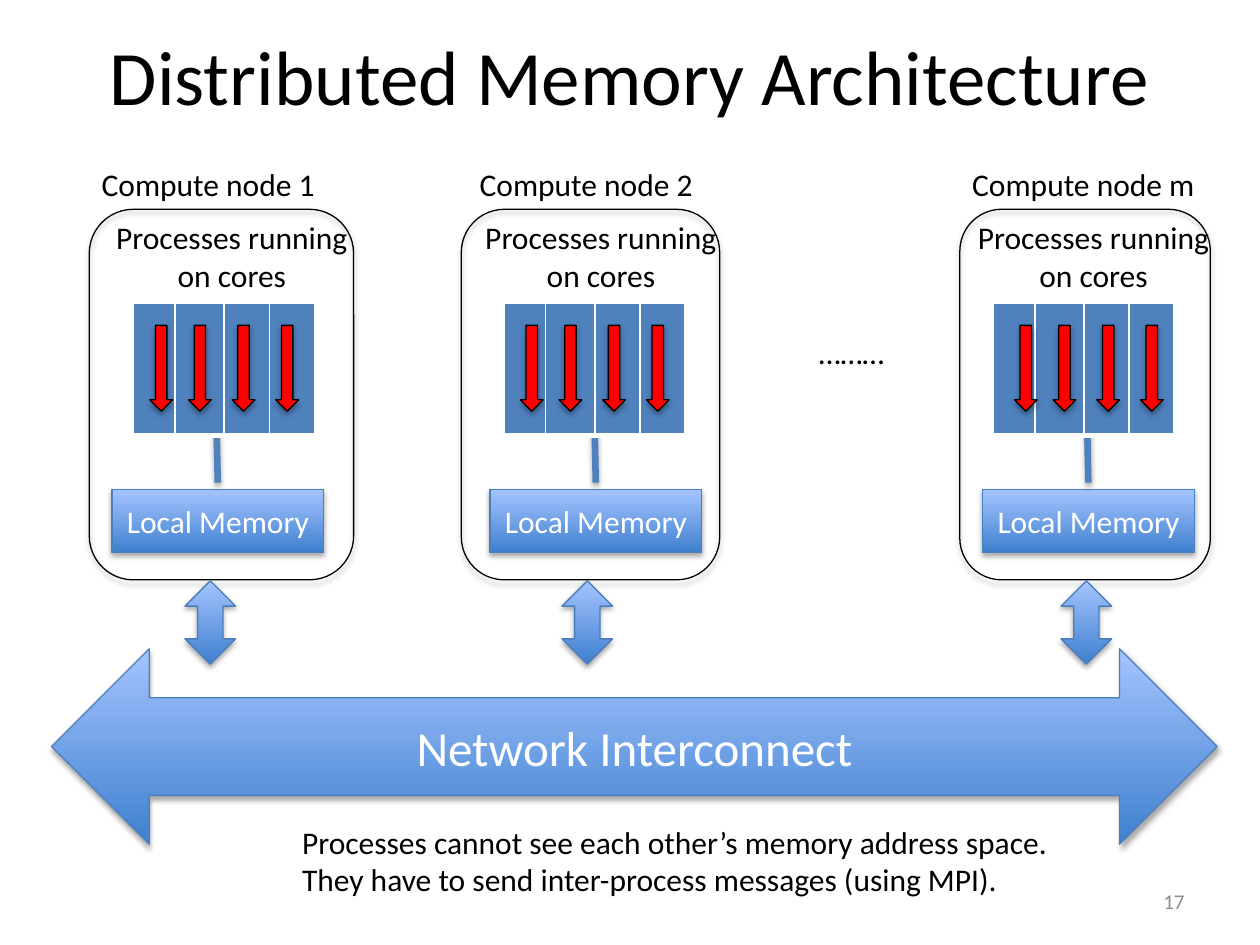
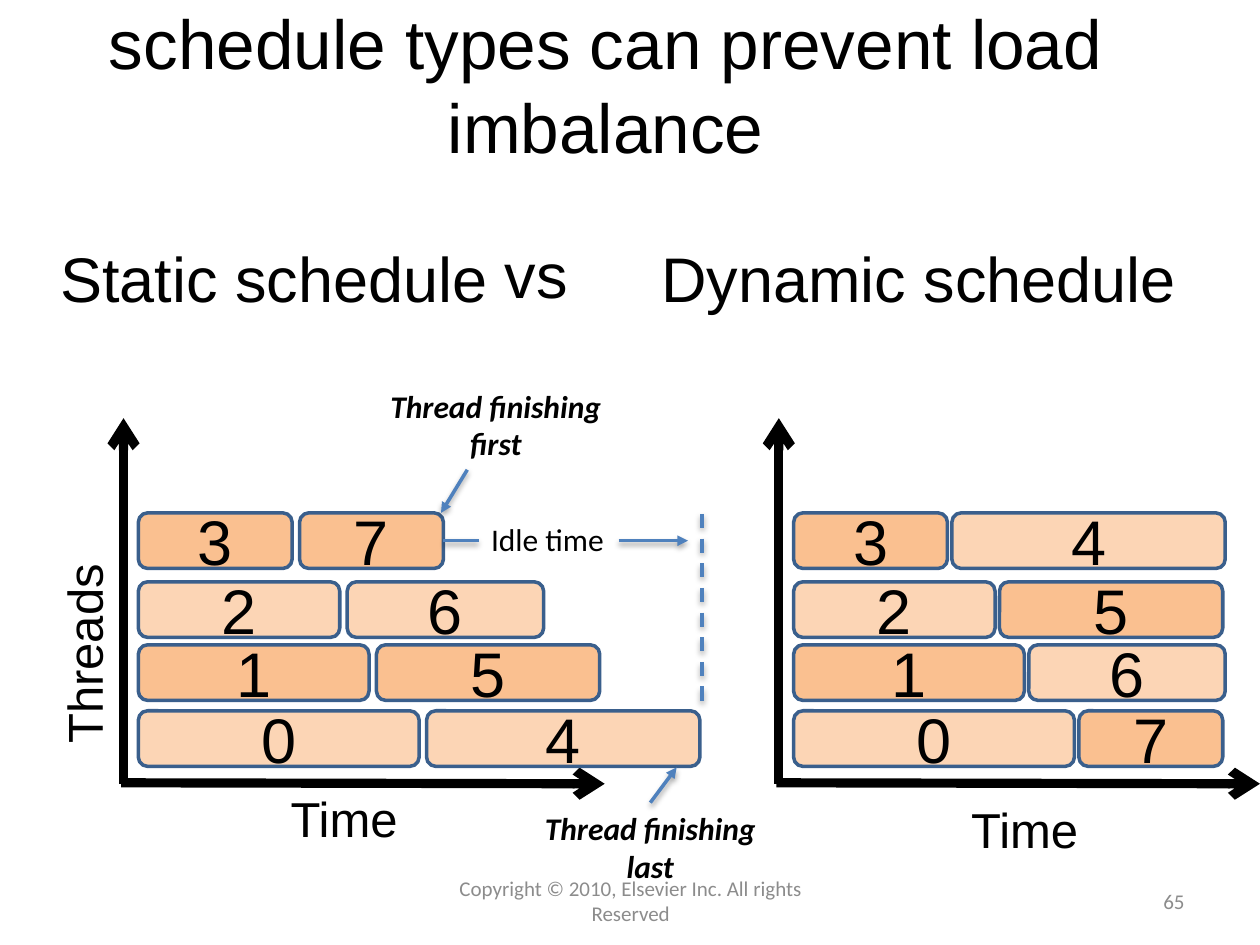
from copy import deepcopy

from lxml.etree import SubElement
from pptx import Presentation
from pptx.dml.color import RGBColor
from pptx.enum.dml import MSO_LINE
from pptx.enum.shapes import MSO_CONNECTOR, MSO_SHAPE as Shape
from pptx.enum.text import MSO_ANCHOR as Anchor, MSO_AUTO_SIZE as AutoSize, PP_ALIGN as Align
from pptx.oxml import parse_xml
from pptx.oxml.ns import nsdecls, qn
from pptx.util import Cm, Pt

BLACK = RGBColor(0x00, 0x00, 0x00)
WHITE = RGBColor(0xFF, 0xFF, 0xFF)
GRAY = RGBColor(0x8C, 0x8C, 0x8C)
RED = RGBColor(0xFF, 0x00, 0x00)
BLUE = RGBColor(0x4F, 0x81, 0xBD)
EDGE_BLUE = RGBColor(0x4B, 0x7E, 0xBC)
TASK_EDGE = RGBColor(0x3A, 0x5F, 0x8C)
GRADIENT = (RGBColor(0x3F, 0x80, 0xCE), RGBColor(0xA4, 0xC4, 0xFF))
TASK_FILLS = (RGBColor(0xFC, 0xD5, 0xB5), RGBColor(0xFA, 0xC0, 0x90))

NO_SHADOW = parse_xml(f"<a:effectLst {nsdecls('a')}/>")
SHADOW = parse_xml(
    f"<a:effectLst {nsdecls('a')}>"
    '<a:outerShdw blurRad="40000" dist="23000" dir="5400000" rotWithShape="0">'
    '<a:srgbClr val="000000"><a:alpha val="35000"/></a:srgbClr>'
    "</a:outerShdw></a:effectLst>"
)


def put(slide, box, text="", kind=None, holder=None, fill=None, edge=BLACK, edge_width=0.75,
        shadow=False, size=18, font="Calibri", color=BLACK, bold=False, italic=False,
        align=Align.LEFT, anchor=Anchor.TOP, wrap=False):
    """Place text in a placeholder (holder), a preset shape (kind) or a new text box."""
    if holder is not None:
        shape = holder
        shape.left, shape.top, shape.width, shape.height = map(Cm, box)
    elif kind is None:
        shape = slide.shapes.add_textbox(*map(Cm, box))
    else:
        shape = slide.shapes.add_shape(kind, *map(Cm, box))
        if fill is None:
            shape.fill.background()
        elif fill is GRADIENT:
            shape.fill.gradient()
            shape.fill.gradient_angle = 90
            for stop, stop_color in zip(shape.fill.gradient_stops, GRADIENT):
                stop.color.rgb = stop_color
        else:
            shape.fill.solid()
            shape.fill.fore_color.rgb = fill
        shape.line.color.rgb = edge
        shape.line.width = Pt(edge_width)
        shape.element.spPr.append(deepcopy(SHADOW if shadow else NO_SHADOW))
        align, anchor = Align.CENTER, Anchor.MIDDLE
    if text:
        frame = shape.text_frame
        frame.text = text
        frame.word_wrap = wrap
        frame.vertical_anchor = anchor
        grows = kind is None and not wrap
        frame.auto_size = AutoSize.SHAPE_TO_FIT_TEXT if grows else AutoSize.NONE
        for paragraph in frame.paragraphs:
            paragraph.alignment = align
            for run in paragraph.runs:
                run.font.name, run.font.size = font, Pt(size)
                run.font.bold, run.font.italic = bold, italic
                run.font.color.rgb = color
    return shape


def connect(slide, start, end, color=BLUE, width=2, arrow=None, dash=None, shadow=True):
    line = slide.shapes.add_connector(MSO_CONNECTOR.STRAIGHT, *map(Cm, start + end))
    line.line.color.rgb = color
    line.line.width = Pt(width)
    if dash:
        line.line.dash_style = dash
    if arrow:
        SubElement(line.line._get_or_add_ln(), qn("a:tailEnd"), type=arrow)
    line.element.spPr.append(deepcopy(SHADOW if shadow else NO_SHADOW))
    return line


prs = Presentation()
prs.slide_width, prs.slide_height = Cm(25.4), Cm(19.05)
title_only = prs.slide_layouts[5]
memory_slide, schedule_slide = [prs.slides.add_slide(title_only) for _ in range(2)]

# Titles and footers
titles = [
    (memory_slide, "Distributed Memory Architecture", (1.27, -0.08, 22.86, 3.18), 44, "Calibri"),
    (schedule_slide, "schedule types can prevent load imbalance",
     (0.36, 0.71, 23.7, 1.96), 39.6, "Arial"),
]
for slide, title, box, size, font in titles:
    put(slide, box, title, holder=slide.shapes.title, size=size, font=font,
        align=Align.CENTER, anchor=Anchor.MIDDLE, wrap=True)

footers = [
    (memory_slide, "17", (18.21, 17.65, 5.92, 1.02), Align.RIGHT),
    (schedule_slide, "65", (18.21, 17.65, 5.92, 1.02), Align.RIGHT),
    (schedule_slide, "Copyright © 2010, Elsevier Inc. All rights Reserved",
     (8.69, 17.65, 8.05, 1.02), Align.CENTER),
]
for slide, footer, box, align in footers:
    put(slide, box, footer, size=12, color=GRAY, align=align, anchor=Anchor.MIDDLE, wrap=True)

# Slide 1: compute nodes on a network
block = dict(fill=GRADIENT, edge=EDGE_BLUE, shadow=True, color=WHITE)
core_widths = (0.84, 0.99, 0.91, 0.91)
core_borders = {"a:lnL": 1, "a:lnR": 1, "a:lnT": 1, "a:lnB": 3}
# name, then left edges: node, memory, cores, caption, processes, link; node width
nodes = [
    ("Compute node 1", 1.8, 2.26, 2.69, 2.06, 3.02, 3.73, 5.33),
    ("Compute node 2", 9.3, 9.88, 10.16, 9.5, 10.49, 11.33, 5.21),
    ("Compute node m", 19.35, 19.81, 20.02, 19.43, 20.45, 21.39, 5.05),
]
for name, node_x, memory_x, cores_x, caption_x, process_x, link_x, node_width in nodes:
    put(memory_slide, (memory_x, 9.87, 4.27, 1.27), "Local Memory", Shape.RECTANGLE, **block)
    put(memory_slide, (node_x, 4.22, node_width, 7.47), kind=Shape.ROUNDED_RECTANGLE, shadow=True)
    put(memory_slide, (memory_x - 0.46, 3.2, 5.4, 1.02), name, wrap=True)
    connect(memory_slide, (memory_x + 2.1, 8.28), (memory_x + 2.13, 9.73), width=3.75)
    put(memory_slide, (link_x, 11.71, 1.02, 1.68), kind=Shape.UP_DOWN_ARROW, **block)

    cores = memory_slide.shapes.add_table(
        1, 4, Cm(cores_x), Cm(6.11), Cm(sum(core_widths)), Cm(2.67)).table
    cores.first_row = cores.horz_banding = False
    for column, core_width in zip(cores.columns, core_widths):
        column.width = Cm(core_width)
    for core in cores.iter_cells():
        properties = core._tc.get_or_add_tcPr()
        for side, points in core_borders.items():
            border = SubElement(properties, qn(side), w=str(Pt(points)))
            SubElement(SubElement(border, qn("a:solidFill")), qn("a:srgbClr"), val=str(WHITE))
        core.fill.solid()
        core.fill.fore_color.rgb = BLUE

    put(memory_slide, (caption_x, 4.27, 5.23, 1.8), "Processes running\von cores",
        align=Align.CENTER)
    for offset in (0, 0.78, 1.66, 2.54):
        put(memory_slide, (process_x + offset, 6.56, 0.46, 1.73), kind=Shape.DOWN_ARROW,
            fill=RED, shadow=True)

put(memory_slide, (16.26, 6.58, 1.88, 1.02), "………")
put(memory_slide, (1.04, 13.08, 23.5, 3.94), "Network Interconnect", Shape.LEFT_RIGHT_ARROW,
    size=28, **block)
put(memory_slide, (5.84, 16.46, 15.85, 1.8),
    "Processes cannot see each other’s memory address space.\n"
    "They have to send inter-process messages (using MPI).")

# Slide 2: static and dynamic schedules
headings = [("Static schedule", 0.97, 4.7, 9.22), ("vs", 9.93, 4.62, 1.8),
            ("Dynamic schedule", 13.08, 4.7, 11.0)]
for heading, x, y, width in headings:
    put(schedule_slide, (x, y, width, 1.8), heading, size=36, font="Arial")

axis_labels = [("Threads", -0.41, 12.42, 4.19, 270), ("Time", 5.61, 15.77, 2.69, 0),
               ("Time", 19.33, 16.0, 2.69, 0)]
for label, x, y, width, rotation in axis_labels:
    put(schedule_slide, (x, y, width, 1.45), label, size=28, font="Arial").rotation = rotation

task_widths = (5.66, 4.65, 4.06, 3.1, 5.51, 4.5, 3.96, 2.9)
thread_tops = (14.33, 13.0, 11.73, 10.34)
axis = dict(color=BLACK, width=5.25, arrow="arrow", shadow=False)
# left edge, gap between tasks, second task of threads 0 to 3
schedules = [(2.79, 0.15, (4, 5, 6, 7)), (16.0, 0.09, (7, 6, 5, 4))]
task_boxes = []
for left, gap, second_tasks in schedules:
    connect(schedule_slide, (left - 0.3, 15.8), (left - 0.3, 8.43), **axis)
    connect(schedule_slide, (left - 0.35, 15.78), (left + 9.4, 15.8), **axis)
    for first, (second, top) in enumerate(zip(second_tasks, thread_tops)):
        second_x = left + task_widths[first] + gap
        for task, x in ((first, left), (second, second_x)):
            task_boxes.append(put(
                schedule_slide, (x, top, task_widths[task], 1.12), str(task),
                Shape.ROUNDED_RECTANGLE, fill=TASK_FILLS[task % 2], edge=TASK_EDGE,
                edge_width=2, size=36, font="Arial"))
first_finished = task_boxes[7]

notes = [("Thread finishing\vfirst", (7.52, 7.67, 4.95, 1.8)),
         ("Thread finishing\vlast", (10.72, 16.18, 4.78, 1.8))]
for note, box in notes:
    put(schedule_slide, box, note, bold=True, italic=True, align=Align.CENTER)
put(schedule_slide, (9.65, 10.36, 2.82, 1.02), "Idle time")

connect(schedule_slide, (9.42, 9.47), (8.89, 10.34), arrow="triangle")
connect(schedule_slide, (13.11, 16.18), (13.64, 15.47), arrow="triangle")
connect(schedule_slide, (8.89, 10.9), (9.65, 10.9)).begin_connect(first_finished, 3)
connect(schedule_slide, (12.47, 10.9), (13.87, 10.9), arrow="triangle")
connect(schedule_slide, (14.15, 10.36), (14.15, 14.33), dash=MSO_LINE.DASH)

prs.save("out.pptx")
